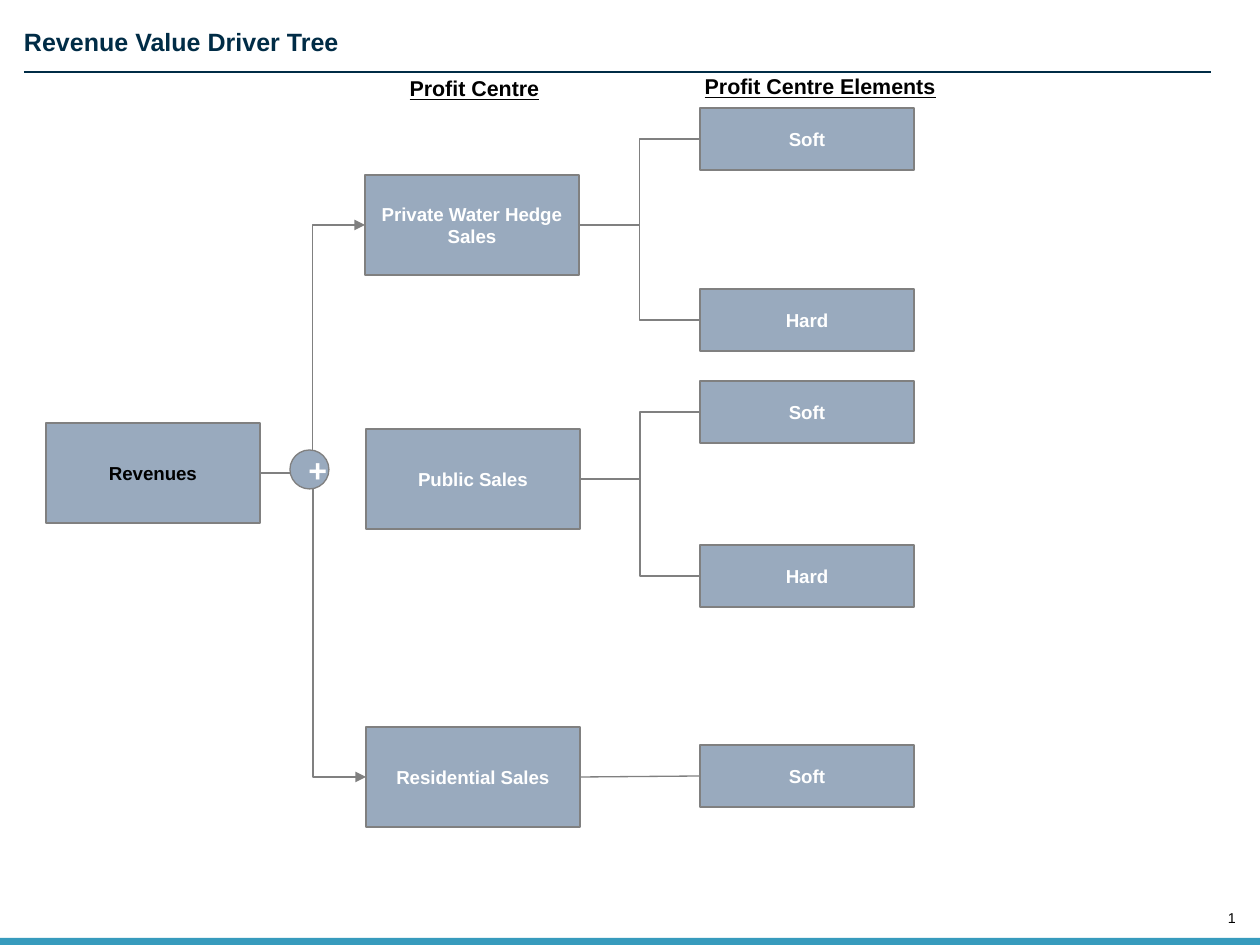
from dataclasses import dataclass

from lxml.etree import SubElement
from pptx import Presentation
from pptx.dml.color import RGBColor
from pptx.enum.shapes import MSO_CONNECTOR, MSO_SHAPE
from pptx.enum.text import MSO_ANCHOR, MSO_AUTO_SIZE, PP_ALIGN
from pptx.oxml.ns import qn
from pptx.util import Pt

EMU_PER_PX = 7112
TOP, LEFT, BOTTOM, RIGHT = range(4)  # connection sites of a rectangle


@dataclass(frozen=True)
class Theme:
    font: str = "Arial"
    navy: str = "002C46"
    teal: str = "379BBD"
    box: str = "99AABE"
    line: str = "808080"
    black: str = "000000"
    white: str = "FFFFFF"
    title_size: float = 14
    heading_size: float = 12
    box_size: float = 10.5
    sign_size: float = 18
    number_size: float = 8
    line_width: float = 0.75


@dataclass(frozen=True)
class Driver:
    """A box of the tree with the boxes to its right."""
    text: str
    left: int
    top: int
    height: int = 100
    color: str = Theme.white
    arrows: bool = False
    children: tuple["Driver", ...] = ()
    linked: bool = True


@dataclass(frozen=True)
class Label:
    text: str
    area: tuple[int, int, int, int]


THEME = Theme()
BOX_WIDTH = 214
LEAF_LEFT, LEAF_HEIGHT = 700, 62


def leaf(text: str, top: int) -> Driver:
    return Driver(text, LEAF_LEFT, top, LEAF_HEIGHT)


TREE = Driver("Revenues", 46, 423, color=THEME.black, arrows=True, children=(
    Driver("Private Water Hedge Sales", 365, 175,
           children=(leaf("Soft", 108), leaf("Hard", 289))),
    Driver("Public Sales", 366, 429, linked=False,
           children=(leaf("Soft", 381), leaf("Hard", 545))),
    Driver("Residential Sales", 366, 727, children=(leaf("Soft", 745),)),
))
HEADINGS = (
    Label("Profit Centre", (397, 69, 252, 38)),
    Label("Profit Centre Elements", (692, 67, 282, 38)),
)


def px(*lengths: int) -> list[int]:
    return [length * EMU_PER_PX for length in lengths]


def write(shape, text: str, *, size: float, color: str, bold: bool = True,
          underline: bool = False, align=PP_ALIGN.LEFT,
          anchor=MSO_ANCHOR.TOP, inset: bool = True) -> None:
    frame = shape.text_frame
    frame.word_wrap = True
    frame.auto_size = MSO_AUTO_SIZE.NONE
    frame.vertical_anchor = anchor
    if not inset:
        frame.margin_left = frame.margin_right = 0
        frame.margin_top = frame.margin_bottom = 0
    para = frame.paragraphs[0]
    para.alignment = align
    span = para.add_run()
    span.text = text
    span.font.name = THEME.font
    span.font.size = Pt(size)
    span.font.bold = bold
    span.font.underline = underline
    span.font.color.rgb = RGBColor.from_string(color)


def add_block(page, kind, area: tuple[int, int, int, int], fill: str,
              outlined: bool = True):
    block = page.shapes.add_shape(kind, *px(*area))
    block.shadow.inherit = False
    block.fill.solid()
    block.fill.fore_color.rgb = RGBColor.from_string(fill)
    if outlined:
        block.line.color.rgb = RGBColor.from_string(THEME.line)
        block.line.width = Pt(THEME.line_width)
    else:
        block.line.fill.background()
    return block


def add_line(page, kind, ends: tuple[int, int, int, int], color: str,
             arrow: bool = False):
    line = page.shapes.add_connector(kind, *px(*ends))
    line.line.color.rgb = RGBColor.from_string(color)
    line.line.width = Pt(THEME.line_width)
    if arrow:
        SubElement(line.get_or_add_ln(), qn("a:tailEnd"), type="triangle")
    SubElement(line._element.spPr, qn("a:effectLst"))
    return line


def add_driver(page, driver: Driver):
    """Draw a box, its children and the lines between them."""
    box = add_block(page, MSO_SHAPE.RECTANGLE,
                    (driver.left, driver.top, BOX_WIDTH, driver.height), THEME.box)
    write(box, driver.text, size=THEME.box_size, color=driver.color,
          align=PP_ALIGN.CENTER, anchor=MSO_ANCHOR.MIDDLE)
    kind = MSO_CONNECTOR.ELBOW if len(driver.children) > 1 else MSO_CONNECTOR.STRAIGHT
    for child in driver.children:
        child_box = add_driver(page, child)
        if child.linked:
            ends = (driver.left + BOX_WIDTH, driver.top + driver.height // 2,
                    child.left, child.top + child.height // 2)
            line = add_line(page, kind, ends, THEME.line, driver.arrows)
            line.begin_connect(box, RIGHT)
            line.end_connect(child_box, LEFT)
    return box


def main() -> None:
    deck = Presentation()
    deck.slide_width, deck.slide_height = px(1260, 945)
    page = deck.slides.add_slide(deck.slide_layouts[5])

    # Footer bar and page number
    add_block(page, MSO_SHAPE.RECTANGLE, (0, 938, 1260, 7), THEME.teal, outlined=False)
    number = page.shapes.add_textbox(*px(1218, 909, 18, 17))
    write(number, "1", size=THEME.number_size, color=THEME.black, bold=False,
          align=PP_ALIGN.RIGHT, anchor=MSO_ANCHOR.BOTTOM, inset=False)

    # Title and its rule
    title = page.shapes.title
    title.left, title.top, title.width, title.height = px(24, 26, 1229, 31)
    write(title, "Revenue Value Driver Tree", size=THEME.title_size,
          color=THEME.navy, anchor=MSO_ANCHOR.BOTTOM, inset=False)
    add_line(page, MSO_CONNECTOR.STRAIGHT, (24, 72, 1211, 72), THEME.navy)

    # Column headings
    for heading in HEADINGS:
        box = page.shapes.add_textbox(*px(*heading.area))
        write(box, heading.text, size=THEME.heading_size, color=THEME.black,
              underline=True)

    # Driver tree, with the plus sign over its first fork
    add_driver(page, TREE)
    sign = add_block(page, MSO_SHAPE.OVAL, (290, 450, 39, 39), THEME.box)
    write(sign, "+", size=THEME.sign_size, color=THEME.white,
          align=PP_ALIGN.CENTER, anchor=MSO_ANCHOR.MIDDLE)

    deck.save("out.pptx")


if __name__ == "__main__":
    main()
